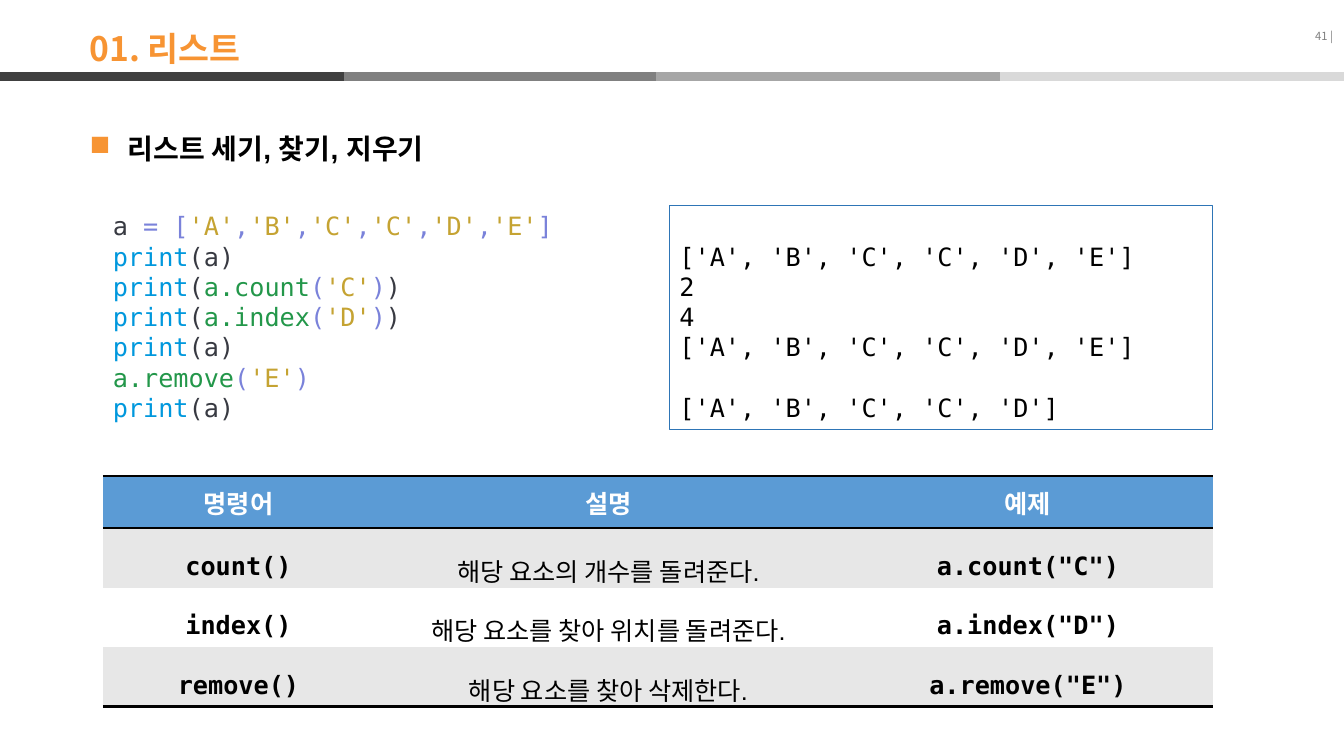
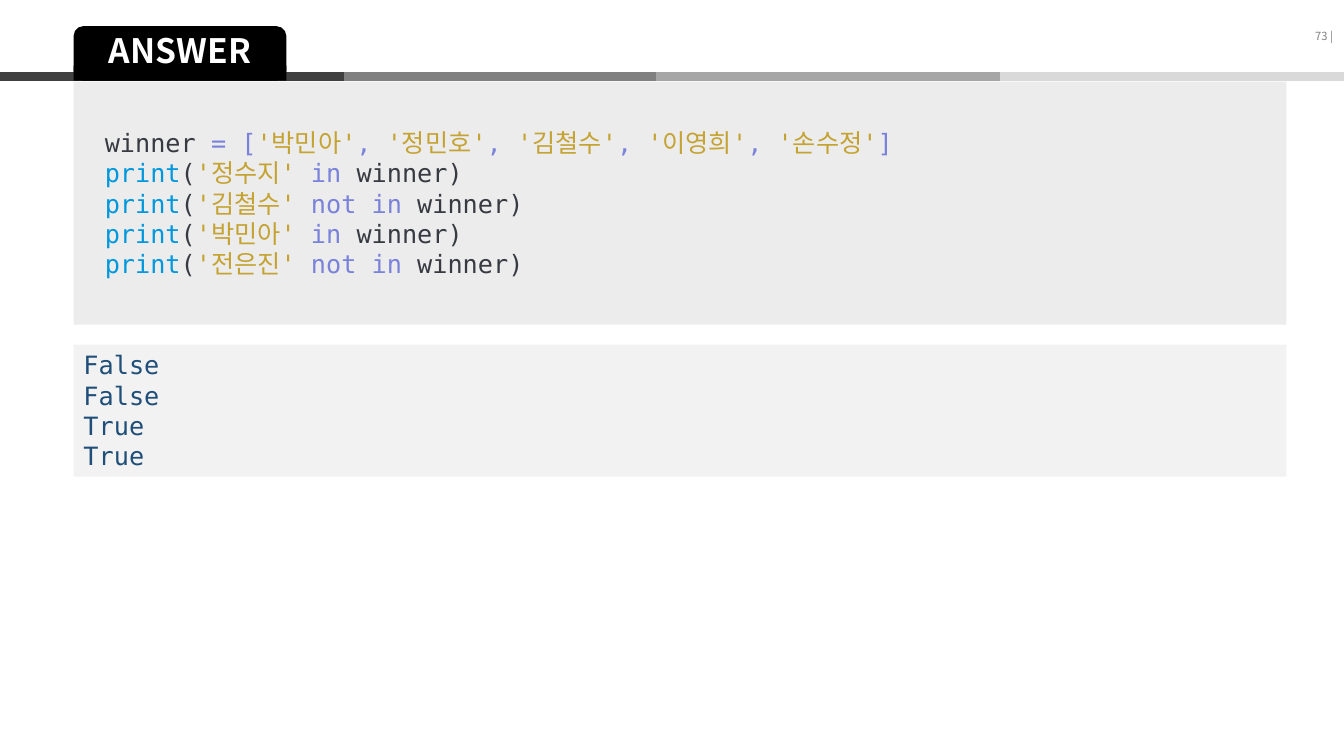
"""Build two slides of a Python course: list methods and an exercise answer."""
import itertools

import lxml.etree
import pptx
import pptx.dml.color
import pptx.enum.shapes
import pptx.enum.text
import pptx.oxml.ns
import pptx.util

RGB = pptx.dml.color.RGBColor
SHAPE = pptx.enum.shapes.MSO_SHAPE
ALIGN = pptx.enum.text.PP_ALIGN
ANCHOR = pptx.enum.text.MSO_ANCHOR
qn = pptx.oxml.ns.qn

EMU_PER_PX = 9144
SLIDE_W, SLIDE_H = 1333, 750
BAND_Y = 76
BAND_STOPS = [0, 341, 651, 992, SLIDE_W]
ANSWER_X, ANSWER_W, TAB_W = 73, 1203, 211

SANS = "Noto Sans CJK KR"
BODY = "Arial"
MONO = "DejaVu Sans Mono"

BLACK = RGB(0x00, 0x00, 0x00)
WHITE = RGB(0xFF, 0xFF, 0xFF)
GRAY = RGB(0x80, 0x80, 0x80)
BAND_COLORS = [RGB(0x40, 0x40, 0x40), GRAY, RGB(0xA6, 0xA6, 0xA6), RGB(0xD9, 0xD9, 0xD9)]
ORANGE = RGB(0xF7, 0x94, 0x33)
HEADER_BLUE = RGB(0x5B, 0x9B, 0xD5)
FRAME_BLUE = RGB(0x2E, 0x75, 0xB6)
RESULT_BLUE = RGB(0x1F, 0x4E, 0x79)
ROW_GRAY = RGB(0xE7, 0xE7, 0xE7)
CODE_GRAY = RGB(0xEC, 0xEC, 0xED)
RESULT_GRAY = RGB(0xF2, 0xF2, 0xF2)
INK = RGB(0x38, 0x3A, 0x42)
VIOLET = RGB(0x7A, 0x82, 0xDA)
GOLD = RGB(0xC5, 0xA3, 0x32)
BLUE = RGB(0x00, 0x98, 0xDD)
GREEN = RGB(0x23, 0x97, 0x4A)


def px(n):
    """Turn pixels into EMU."""
    return pptx.util.Emu(n * EMU_PER_PX)


def place(sp, x, y, w, h):
    """Move and size a shape."""
    sp.left, sp.top, sp.width, sp.height = px(x), px(y), px(w), px(h)


def add_run(p, text, color, size=18, font=MONO, bold=False):
    """Append one formatted run to a paragraph."""
    r = p.add_run()
    r.text = text
    r.font.size = pptx.util.Pt(size)
    r.font.name = font
    r.font.bold = bold
    r.font.color.rgb = color
    ea = lxml.etree.SubElement(r._r.get_or_add_rPr(), qn("a:ea"))
    ea.set("typeface", SANS)


def set_insets(tf, left=10, top=5, right=10, bottom=5):
    """Set the margins of a text frame or a cell."""
    tf.margin_left, tf.margin_top = px(left), px(top)
    tf.margin_right, tf.margin_bottom = px(right), px(bottom)


def write_lines(sp, lines, anchor=ANCHOR.TOP, left=10, top=5):
    """Fill a shape with left-aligned lines, each a list of (text, color)."""
    tf = sp.text_frame
    tf.word_wrap = True
    tf.vertical_anchor = anchor
    set_insets(tf, left=left, top=top)
    for i, line in enumerate(lines):
        p = tf.add_paragraph() if i else tf.paragraphs[0]
        p.alignment = ALIGN.LEFT
        for text, color in line:
            add_run(p, text, color)
    return tf


def add_box(s, x, y, w, h, fill=None, line=None, kind=SHAPE.RECTANGLE):
    """Add a flat preset shape."""
    sp = s.shapes.add_shape(kind, px(x), px(y), px(w), px(h))
    sp.shadow.inherit = False
    if fill is None:
        sp.fill.background()
    else:
        sp.fill.solid()
        sp.fill.fore_color.rgb = fill
    if line is None:
        sp.line.fill.background()
    else:
        sp.line.color.rgb = line
        sp.line.width = pptx.util.Pt(0.75)
    return sp


def add_text(s, x, y, w, h):
    """Add an empty wrapping text box."""
    sp = s.shapes.add_textbox(px(x), px(y), px(w), px(h))
    sp.text_frame.word_wrap = True
    return sp


def add_slide(prs, page):
    """Add a slide with the four-part band and its page number."""
    s = prs.slides.add_slide(prs.slide_layouts[5])
    for (x1, x2), color in zip(itertools.pairwise(BAND_STOPS), BAND_COLORS):
        line = s.shapes.add_connector(
            pptx.enum.shapes.MSO_CONNECTOR.STRAIGHT, px(x1), px(BAND_Y), px(x2), px(BAND_Y))
        line.line.color.rgb = color
        line.line.width = pptx.util.Pt(6)
        lxml.etree.SubElement(line._element.spPr, qn("a:effectLst"))
    tf = add_text(s, 1227, 10, 105, 51).text_frame
    tf.vertical_anchor = ANCHOR.MIDDLE
    tf.paragraphs[0].alignment = ALIGN.RIGHT
    add_run(tf.paragraphs[0], f"{page} |", GRAY, 8, SANS)
    return s


def set_title(s, text, color, box, align=ALIGN.LEFT):
    """Format the title placeholder and bring it to the front."""
    sp = s.shapes.title
    place(sp, *box)
    tf = sp.text_frame
    tf.vertical_anchor = ANCHOR.MIDDLE
    set_insets(tf)
    p = tf.paragraphs[0]
    p.alignment = align
    p.line_spacing = 0.9
    add_run(p, text, color, 24, SANS, True)
    s.shapes.element.append(sp.element)


def add_bullet_heading(s, text, x, y, w, h):
    """Add a bold heading with an orange square bullet."""
    p = add_text(s, x, y, w, h).text_frame.paragraphs[0]
    p.line_spacing = 1.5
    pPr = p._p.get_or_add_pPr()
    pPr.set("marL", str(px(38)))
    pPr.set("indent", str(px(-38)))
    color = lxml.etree.SubElement(pPr, qn("a:buClr"))
    lxml.etree.SubElement(color, qn("a:srgbClr")).set("val", str(ORANGE))
    lxml.etree.SubElement(pPr, qn("a:buChar")).set("char", "■")
    add_run(p, text, BLACK, 20, BODY, True)


def add_border(cell, side):
    """Draw a black 2 pt line on a side of a cell, lnT or lnB."""
    tcPr = cell._tc.get_or_add_tcPr()
    ln = lxml.etree.Element(qn(f"a:{side}"), w=str(pptx.util.Pt(2)))
    fill = lxml.etree.SubElement(ln, qn("a:solidFill"))
    lxml.etree.SubElement(fill, qn("a:srgbClr")).set("val", str(BLACK))
    tcPr.insert(len(tcPr) - 1, ln)


def add_method_table(s, x, y, widths, heights, rows):
    """Add a ruled table with a blue header and alternating rows."""
    frame = s.shapes.add_table(
        len(rows), len(widths), px(x), px(y), px(sum(widths)), px(sum(heights)))
    table = frame.table
    table.horz_banding = False
    for style in frame._element.iter(qn("a:tableStyleId")):
        style.text = "{2D5ABB26-0587-4C30-8999-92F81FD0307C}"
    for column, w in zip(table.columns, widths):
        column.width = px(w)
    for i, (row, h) in enumerate(zip(rows, heights)):
        table.rows[i].height = px(h)
        for j, text in enumerate(row):
            cell = table.cell(i, j)
            cell.vertical_anchor = ANCHOR.MIDDLE
            cell.fill.solid()
            p = cell.text_frame.paragraphs[0]
            p.alignment = ALIGN.CENTER
            if i == 0:
                cell.fill.fore_color.rgb = HEADER_BLUE
                add_run(p, text, WHITE, font=SANS, bold=True)
                add_border(cell, "lnT")
            else:
                cell.fill.fore_color.rgb = ROW_GRAY if i % 2 else WHITE
                set_insets(cell, 7, 2, 7, 2)
                p.line_spacing = 1.6
                add_run(p, text, BLACK, font=BODY if j == 1 else MONO, bold=j != 1)
            if i in (0, len(rows) - 1):
                add_border(cell, "lnB")


def list_line(name, items, separator):
    """Return the runs of a list assignment."""
    runs = [(f"{name} ", INK), ("= [", VIOLET)]
    for i, item in enumerate(items):
        if i:
            runs.append((separator, VIOLET))
        runs.append((f"'{item}'", GOLD))
    return runs + [("]", VIOLET)]


def method_call(name, arg):
    """Return the runs of a method call on a."""
    return [(f"a.{name}", GREEN), ("(", VIOLET), (f"'{arg}'", GOLD), (")", VIOLET)]


def print_line(*runs):
    """Return the runs of a print call."""
    return [("print", BLUE), ("(", INK), *runs, (")", INK)]


def membership_line(name, operator):
    """Return the runs of a printed membership test."""
    return print_line((f"'{name}' ", GOLD), (operator, VIOLET), (" winner", INK))


def build_list_slide(prs):
    """Build the slide on counting, finding and removing."""
    s = add_slide(prs, 41)
    set_title(s, "01. 리스트", ORANGE, (79, 20, 1063, 60))
    add_bullet_heading(s, "리스트 세기, 찾기, 지우기", 79, 109, 898, 79)
    print_a = print_line(("a", INK))
    write_lines(add_text(s, 102, 204, 562, 222), [
        list_line("a", "ABCCDE", ","),
        print_a,
        print_line(*method_call("count", "C")),
        print_line(*method_call("index", "D")),
        print_a,
        method_call("remove", "E"),
        print_a,
    ])
    full = "['A', 'B', 'C', 'C', 'D', 'E']"
    results = [full, "2", "4", full, "['A', 'B', 'C', 'C', 'D']"]
    tf = write_lines(add_box(s, 664, 204, 539, 222, line=FRAME_BLUE),
                     [[(text, BLACK)] for text in results], top=35)
    tf.paragraphs[-1].space_before = pptx.util.Pt(21.5)
    add_method_table(s, 102, 472, [269, 465, 367], [52, 59, 59, 59], [
        ["명령어", "설명", "예제"],
        ["count()", "해당 요소의 개수를 돌려준다.", 'a.count("C")'],
        ["index()", "해당 요소를 찾아 위치를 돌려준다.", 'a.index("D")'],
        ["remove()", "해당 요소를 찾아 삭제한다.", 'a.remove("E")'],
    ])


def build_answer_slide(prs):
    """Build the answer slide with code and its results."""
    s = add_slide(prs, 73)
    tab = add_box(s, ANSWER_X, 26, TAB_W, 54, BLACK, kind=SHAPE.ROUNDED_RECTANGLE)
    tab.adjustments[0] = 0.18
    add_box(s, ANSWER_X, 65, TAB_W, 15, BLACK)
    set_title(s, "ANSWER", WHITE, (ANSWER_X, 27, TAB_W, 50), ALIGN.CENTER)
    write_lines(add_box(s, ANSWER_X, 81, ANSWER_W, 241, CODE_GRAY), [
        list_line("winner", ["박민아", "정민호", "김철수", "이영희", "손수정"], ", "),
        membership_line("정수지", "in"),
        membership_line("김철수", "not in"),
        membership_line("박민아", "in"),
        membership_line("전은진", "not in"),
    ], ANCHOR.MIDDLE, left=31)
    write_lines(add_box(s, ANSWER_X, 342, ANSWER_W, 131, RESULT_GRAY),
                [[(text, RESULT_BLUE)] for text in ("False", "False", "True", "True")])


def main():
    """Build and save the presentation."""
    prs = pptx.Presentation()
    prs.slide_width, prs.slide_height = px(SLIDE_W), px(SLIDE_H)
    build_list_slide(prs)
    build_answer_slide(prs)
    prs.save("out.pptx")


if __name__ == "__main__":
    main()
